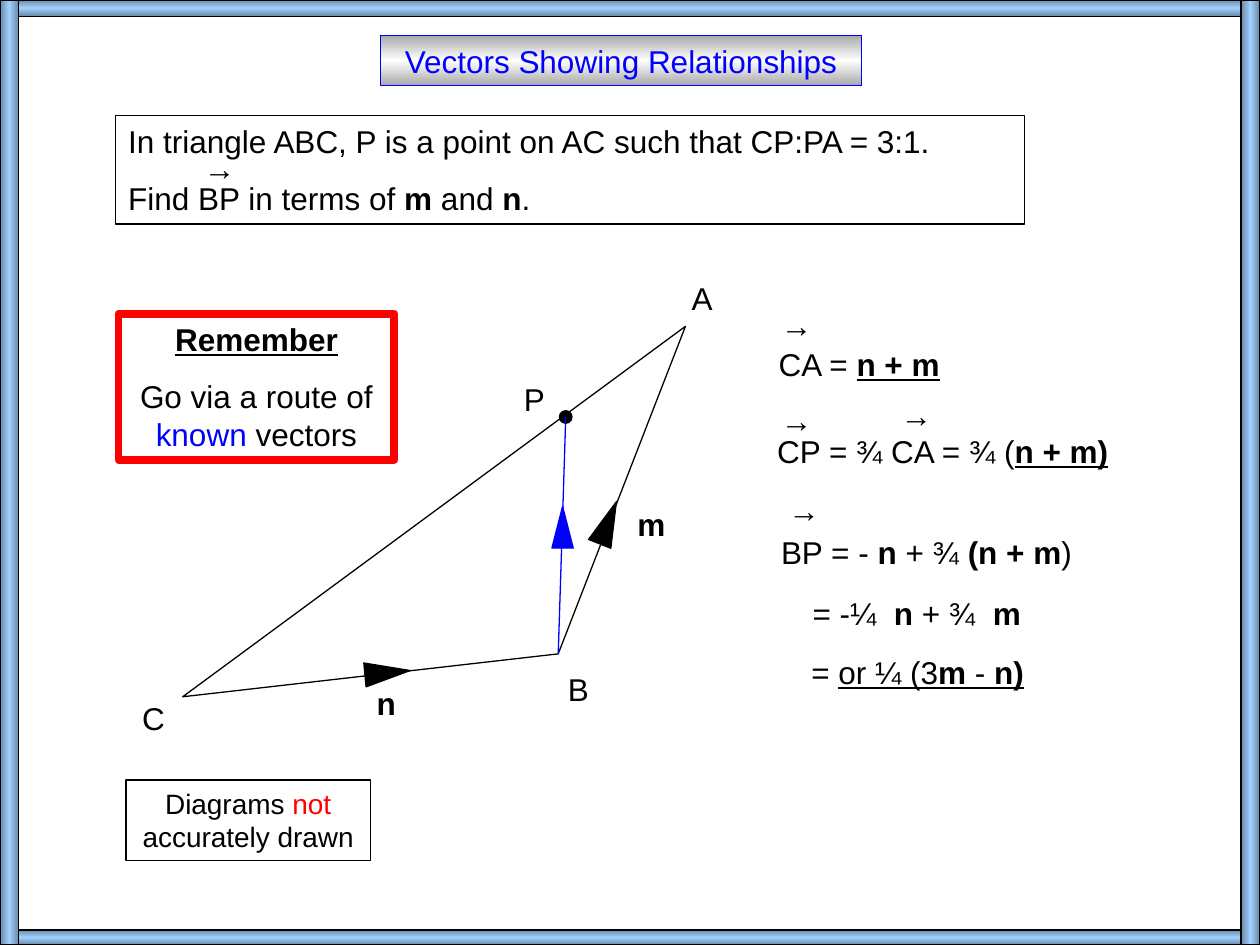
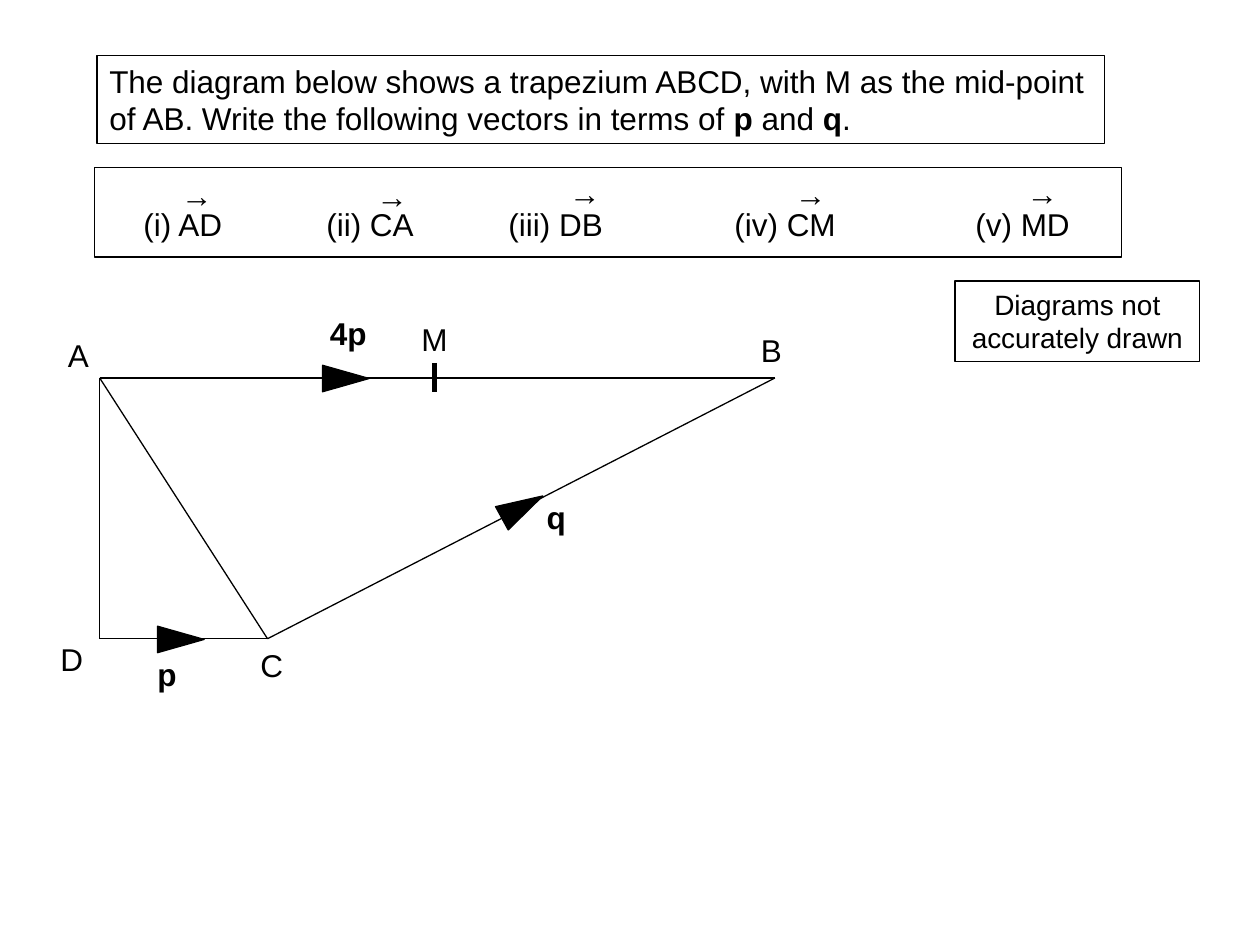
"""Build two slides on vector relationships in a triangle and a trapezium."""
from copy import deepcopy

from lxml import etree
from pptx import Presentation
from pptx.dml.color import RGBColor
from pptx.enum.shapes import MSO_CONNECTOR, MSO_SHAPE
from pptx.enum.text import MSO_ANCHOR, PP_ALIGN
from pptx.oxml.ns import qn
from pptx.util import Pt

RECTANGLE = MSO_SHAPE.RECTANGLE
OVAL = MSO_SHAPE.OVAL
TRIANGLE = MSO_SHAPE.ISOSCELES_TRIANGLE
STRAIGHT = MSO_CONNECTOR.STRAIGHT
TOP = MSO_ANCHOR.TOP
LEFT, CENTER = PP_ALIGN.LEFT, PP_ALIGN.CENTER
COLORS = {
    "black": "000000", "white": "FFFFFF", "blue": "0000FF", "red": "FF0000",
    "silver": "A8A8A8", "steel": "6989A7", "sky": "A0D1FE",
}
RGB = {name: RGBColor.from_string(value) for name, value in COLORS.items()}
FONT = "Arial"
LINE_HEIGHT = 28.8


def paint(shape, fill=None, line="black", weight=0.75, angle=90):
    """Fill with nothing, one colour, or an (edge, middle) gradient, and outline."""
    shape.shadow.inherit = False
    shape.line.color.rgb = RGB[line]
    shape.line.width = Pt(weight)
    if fill is None:
        shape.fill.background()
    elif isinstance(fill, str):
        shape.fill.solid()
        shape.fill.fore_color.rgb = RGB[fill]
    else:
        edge, middle = fill
        shape.fill.gradient()
        shape.fill.gradient_angle = angle
        first = next(shape.element.iter(qn("a:gs")))
        first.addnext(deepcopy(first))
        for stop, position, name in zip(shape.fill.gradient_stops, (0, 0.5, 1), (edge, middle, edge)):
            stop.position = position
            stop.color.rgb = RGB[name]


def write(box, *paragraphs, size=18, align=LEFT, gap=11.2, tabs=()):
    """Write paragraphs made of strings or (string, styles) spans."""
    frame = box.text_frame
    frame.word_wrap = True
    frame.vertical_anchor = TOP
    for index, spans in enumerate(paragraphs):
        para = frame.add_paragraph() if index else frame.paragraphs[0]
        para.alignment = align
        if index:
            para.space_before = Pt(gap)
        if tabs:
            stops = etree.SubElement(para._p.get_or_add_pPr(), qn("a:tabLst"))
            for position in tabs:
                etree.SubElement(stops, qn("a:tab"), pos=str(Pt(position)), algn="l")
        for item in spans:
            text, styles = (item, "") if isinstance(item, str) else item
            styles = styles.split()
            span = para.add_run()
            span.text = text
            span.font.name = FONT
            span.font.size = Pt(size)
            span.font.bold = "bold" in styles
            span.font.underline = "underline" in styles
            color = next((name for name in styles if name in RGB), "black")
            span.font.color.rgb = RGB[color]


deck = Presentation()
deck.slide_width, deck.slide_height = Pt(720), Pt(540)
triangle_page, trapezium_page = [deck.slides.add_slide(deck.slide_layouts[6]) for _ in range(2)]

title = triangle_page.shapes.add_shape(RECTANGLE, Pt(217.4), Pt(20.2), Pt(275), Pt(LINE_HEIGHT))
paint(title, ("silver", "white"), "blue")
write(title, [("Vectors Showing Relationships", "blue")], align=CENTER)

problem = triangle_page.shapes.add_shape(RECTANGLE, Pt(66.2), Pt(66.2), Pt(519.1), Pt(61.9))
paint(problem)
write(problem,
      ["In triangle ABC, P is a point on AC such that CP:PA = 3:1."],
      ["Find BP in terms of ", ("m", "bold"), " and ", ("n", "bold"), "."])

corners = [(104.4, 398.2), (319, 373.7), (391.7, 186.5)]
corner_c, corner_b, corner_a = [(Pt(x), Pt(y)) for x, y in corners]
builder = triangle_page.shapes.build_freeform(*corner_c)
builder.add_line_segments([corner_b, corner_a], close=True)
paint(builder.convert_to_shape())

point_p = triangle_page.shapes.add_shape(OVAL, Pt(319.7), Pt(234.7), Pt(7.2), Pt(7.2))
paint(point_p, "black")

reminder = triangle_page.shapes.add_shape(RECTANGLE, Pt(67.7), Pt(179.3), Pt(157.7), Pt(83.5))
paint(reminder, "white", "red", 4.5)
write(reminder,
      [("Remember", "bold underline")],
      ["Go via a route of ", ("known", "blue"), " vectors"], align=CENTER)

working = [
    (437.8, 193.7, ["CA = ", ("n + m", "bold underline")], ()),
    (437, 243.4, ["CP = ¾ CA = ¾ (", ("n + m)", "bold underline")], ()),
    (439.2, 301, ["BP = - ", ("n", "bold"), " + ¾ ", ("(n + m", "bold"), ")"], ()),
    (457.2, 336.2, ["= -¼\t", ("n", "bold"), " + ¾\t", ("m", "bold")], (46.5, 103)),
    (456.5, 369.4, ["= ", ("or ¼ (3", "underline"), ("m", "bold underline"),
                    (" - ", "underline"), ("n)", "bold underline")], ()),
]
for left, top, spans, tabs in working:
    box = triangle_page.shapes.add_textbox(Pt(left), Pt(top), Pt(226.8), Pt(LINE_HEIGHT))
    write(box, spans, tabs=tabs)

bands = [
    (0, 0, 720, 9.4, 90), (0, 531.4, 720, 8.6, 90),
    (0, 0, 10.8, 540, 180), (709.2, 0, 10.8, 540, 180),
]
for left, top, width, height, angle in bands:
    band = triangle_page.shapes.add_shape(RECTANGLE, Pt(left), Pt(top), Pt(width), Pt(height))
    paint(band, ("steel", "sky"), angle=angle)

question = trapezium_page.shapes.add_shape(RECTANGLE, Pt(55.4), Pt(31.7), Pt(576), Pt(50.4))
paint(question)
write(question, ["The diagram below shows a trapezium ABCD, with M as the mid-point of AB. "
                 "Write the following vectors in terms of ",
                 ("p", "bold"), " and ", ("q", "bold"), "."])

parts = trapezium_page.shapes.add_textbox(Pt(74.9), Pt(113.8), Pt(573), Pt(LINE_HEIGHT))
write(parts, ["(i) AD\t(ii) CA\t(iii) DB\t(iv) CM\t(v) MD"], tabs=(104.5, 208.6, 337.7, 475.4))
parts_frame = trapezium_page.shapes.add_shape(RECTANGLE, Pt(54), Pt(95.8), Pt(586.8), Pt(51.1))
paint(parts_frame)

notes = [
    (triangle_page, 72, 445.7, ["Diagrams ", ("not ", "red"), "accurately drawn"]),
    (trapezium_page, 545.8, 160.6, ["Diagrams not accurately drawn"]),
]
for page, left, top, spans in notes:
    note = page.shapes.add_shape(RECTANGLE, Pt(left), Pt(top), Pt(139.7), Pt(46.1))
    paint(note)
    write(note, spans, size=16, align=CENTER)

labels = [
    (triangle_page, [
        ("C", "", 74.2, 396), ("A", "", 388.1, 156.2), ("B", "", 317.5, 379.4),
        ("P", "", 292.3, 213.8), ("m", "bold", 357.1, 285.1), ("n", "bold", 208.1, 387.4),
        ("→", "", 109.4, 81.4), ("→", "", 439.2, 171.4), ("→", "", 439.2, 225.4),
        ("→", "", 507.6, 222.5), ("→", "", 443.5, 277.2),
    ]),
    (trapezium_page, [
        ("A", "", 31.7, 188.6), ("B", "", 427.7, 185.8), ("C", "", 141.8, 365.8),
        ("D", "", 27.4, 362.2), ("M", "", 233.7, 179.3), ("4p", "bold", 181.4, 175.7),
        ("q", "bold", 305.3, 280.8), ("p", "bold", 82.8, 370.8),
        ("→", "", 96.5, 97.2), ("→", "", 208, 97.9), ("→", "", 318.2, 95.8),
        ("→", "", 447.1, 96.5), ("→", "", 579.6, 95.8),
    ]),
]
for page, entries in labels:
    for text, styles, left, top in entries:
        box = page.shapes.add_textbox(Pt(left), Pt(top), Pt(42), Pt(LINE_HEIGHT))
        write(box, [(text, styles)])

vertex_a, vertex_b, vertex_c, vertex_d = (57, 216), (442.8, 216), (152.9, 365), (57, 365)
segments = [
    (triangle_page, (319, 373.7), (323.3, 238.3), "blue", 0.75),
    (trapezium_page, vertex_a, vertex_d, "black", 0.75),
    (trapezium_page, vertex_d, vertex_c, "black", 0.75),
    (trapezium_page, vertex_a, vertex_c, "black", 0.75),
    (trapezium_page, vertex_a, vertex_b, "black", 0.75),
    (trapezium_page, vertex_c, vertex_b, "black", 0.75),
    (trapezium_page, (248.4, 207.4), (248.4, 223.9), "black", 3),
]
for page, start, end, color, weight in segments:
    segment = page.shapes.add_connector(STRAIGHT, *[Pt(value) for value in start + end])
    segment.line.color.rgb = RGB[color]
    segment.line.width = Pt(weight)
    etree.SubElement(segment.element.spPr, qn("a:effectLst"))

directions = [
    (triangle_page, 340.6, 285.8, 13.7, 25.9, 21.7, "black"),
    (triangle_page, 214.6, 371.5, 13.7, 25.9, 84.5, "black"),
    (triangle_page, 315.4, 289.4, 12.2, 23.8, 0, "blue"),
    (trapezium_page, 190.1, 203, 15.1, 26.6, 90, "black"),
    (trapezium_page, 290.9, 276.5, 15.1, 26.6, 61.4, "black"),
    (trapezium_page, 95.8, 352.1, 15.1, 26.6, 90, "black"),
]
for page, left, top, width, height, rotation, color in directions:
    marker = page.shapes.add_shape(TRIANGLE, Pt(left), Pt(top), Pt(width), Pt(height))
    marker.rotation = rotation
    paint(marker, color, color)

deck.save("out.pptx")
